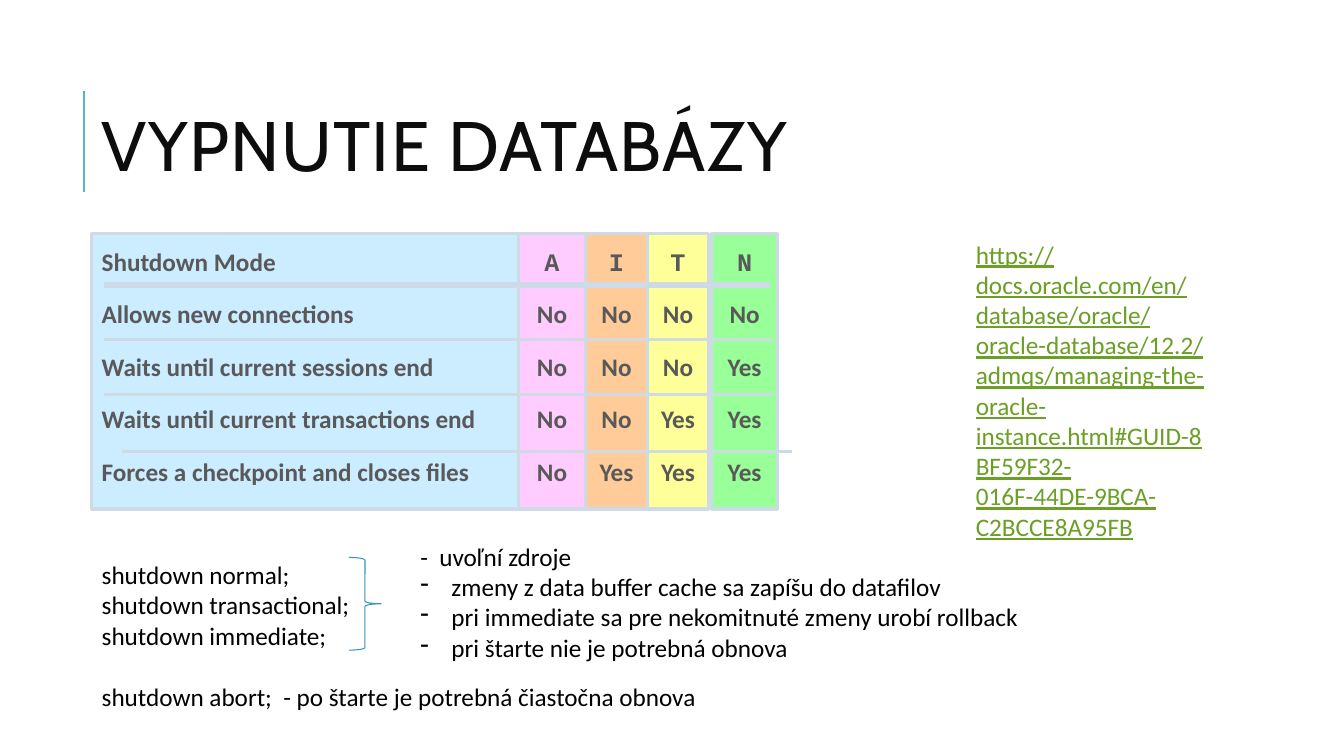
import pptx
import pptx.util
import pptx.dml.color
import pptx.enum.shapes
import pptx.enum.text
from lxml import etree

Inches, Pt = pptx.util.Inches, pptx.util.Pt
ALIGN = pptx.enum.text.PP_ALIGN
ANCHOR = pptx.enum.text.MSO_ANCHOR
AUTO_SIZE = pptx.enum.text.MSO_AUTO_SIZE
SHAPES = pptx.enum.shapes.MSO_SHAPE

BORDER = "CEDBE6"
BODY = {"name": "Calibri", "size": Pt(18), "color": "000000"}
CELL = {**BODY, "color": "595959", "bold": True}
MODE = {**CELL, "name": "Courier New"}
LINK = {**BODY, "color": "6B9F25", "underline": True}
TITLE = {"name": "Cabin", "size": Pt(50), "color": "0D0D0D"}

SHUTDOWN_COLUMNS = [
    # left offset, width, fill, alignment, heading format, lines
    (0, 4.23, "CCECFF", ALIGN.LEFT, CELL,
     ["Shutdown Mode", "Allows new connections", "Waits until current sessions end",
      "Waits until current transactions end", "Forces a checkpoint and closes files"]),
    (4.23, 0.67, "FFCCFF", ALIGN.CENTER, MODE, ["A", "No", "No", "No", "No"]),
    (4.9, 0.61, "FFCC99", ALIGN.CENTER, MODE, ["I", "No", "No", "No", "Yes"]),
    (5.51, 0.61, "FFFF99", ALIGN.CENTER, MODE, ["T", "No", "No", "Yes", "Yes"]),
    (6.15, 0.65, "99FF99", ALIGN.CENTER, MODE, ["N", "No", "Yes", "Yes", "Yes"]),
]
# left offset, right offset, top offset, width in points
ROW_RULES = [(0.12, 6.73, 0.51, 4.5), (0.12, 6.76, 1.05, 2.25),
             (0.12, 6.76, 1.59, 2.25), (0.3, 6.95, 2.16, 2.25)]

COMMANDS = ["shutdown normal;", "shutdown transactional;", "shutdown immediate;",
            "shutdown abort;  - po štarte je potrebná čiastočna obnova"]
EFFECTS = ["-  uvoľní zdroje",
           "zmeny z data buffer cache sa zapíšu do datafilov",
           "pri immediate sa pre nekomitnuté zmeny urobí rollback",
           "pri štarte nie je potrebná obnova"]
GUIDE_URL = ("https://docs.oracle.com/en/database/oracle/oracle-database/12.2/admqs/"
             "managing-the-oracle-instance.html#GUID-8BF59F32-016F-44DE-9BCA-C2BCCE8A95FB")


def rgb(code):
    return pptx.dml.color.RGBColor.from_string(code)


def set_font(font, style):
    for key, value in style.items():
        if key == "color":
            font.color.rgb = rgb(value)
        else:
            setattr(font, key, value)


def write_lines(frame, lines, style, first_style=None):
    """Fill a text frame with one paragraph per line."""
    for index, line in enumerate(lines):
        paragraph = frame.paragraphs[0] if index == 0 else frame.add_paragraph()
        run = paragraph.add_run()
        run.text = line
        set_font(run.font, first_style if index == 0 and first_style else style)
    return frame.paragraphs


def add_text(slide, box, lines, style, auto_size=AUTO_SIZE.SHAPE_TO_FIT_TEXT):
    frame = slide.shapes.add_textbox(*map(Inches, box)).text_frame
    frame.word_wrap = True
    frame.auto_size = auto_size
    write_lines(frame, lines, style)
    return frame


def add_shape(slide, kind, box, fill, line, width):
    shape = slide.shapes.add_shape(kind, *map(Inches, box))
    shape.shadow.inherit = False
    if fill:
        shape.fill.solid()
        shape.fill.fore_color.rgb = rgb(fill)
    else:
        shape.fill.background()
    shape.line.color.rgb = rgb(line)
    shape.line.width = Pt(width)
    return shape


def add_line(slide, start, end, color, width):
    line = slide.shapes.add_connector(
        pptx.enum.shapes.MSO_CONNECTOR.STRAIGHT, *map(Inches, start + end))
    line.line.color.rgb = rgb(color)
    line.line.width = Pt(width)
    properties = line._element.spPr
    etree.SubElement(properties, pptx.oxml.ns.qn("a:effectLst"))


def add_bullet(paragraph, char, indent):
    properties = paragraph._p.get_or_add_pPr()
    properties.set("marL", str(Inches(indent)))
    properties.set("indent", str(-Inches(indent)))
    bullet = etree.SubElement(properties, pptx.oxml.ns.qn("a:buChar"))
    bullet.set("char", char)


def draw_title(slide, left, top, width, height):
    add_line(slide, (left - 0.08, top + 1.22), (left - 0.08, top + 0.22), "58B6C0", 1.5)
    frame = add_text(slide, (left, top, width, height), ["VYPNUTIE DATABÁZY"],
                     TITLE, AUTO_SIZE.NONE)
    frame.vertical_anchor = ANCHOR.MIDDLE
    heading = frame.paragraphs[0]
    heading.line_spacing = 0.8
    heading.runs[0].font._element.set("spc", "100")


def draw_shutdown_modes(slide, left, top, height):
    # Coloured columns
    for offset, width, fill, alignment, heading, lines in SHUTDOWN_COLUMNS:
        column = add_shape(slide, SHAPES.RECTANGLE, (left + offset, top, width, height),
                           fill, BORDER, 2.25)
        frame = column.text_frame
        frame.word_wrap = True
        frame.vertical_anchor = ANCHOR.TOP
        for index, paragraph in enumerate(write_lines(frame, lines, CELL, heading)):
            paragraph.alignment = alignment
            paragraph.line_spacing = 1.25
            if index:
                paragraph.space_before = Pt(10.5)
    # Row rules
    for start, end, offset, width in ROW_RULES:
        add_line(slide, (left + start, top + offset), (left + end, top + offset),
                 BORDER, width)


def draw_commands(slide, left, top):
    # Commands, with abort set apart
    commands = add_text(slide, (left, top + 0.18, 6.95, 1.62), COMMANDS, BODY)
    commands.paragraphs[-1].space_before = Pt(22)
    # Brace joining the first three commands to their effects
    add_shape(slide, SHAPES.RIGHT_BRACE, (left + 2.55, top + 0.21, 0.32, 0.92),
              None, "3494BA", 0.75)
    effects = add_text(slide, (left + 3.16, top, 6.24, 1.31), EFFECTS, BODY)
    for effect in effects.paragraphs[1:]:
        add_bullet(effect, "-", 0.31)


def draw_guide_address(slide, *box):
    add_text(slide, box, [GUIDE_URL], LINK)


def main():
    deck = pptx.Presentation()
    deck.slide_width, deck.slide_height = Inches(13.33), Inches(7.5)
    slide = deck.slides.add_slide(deck.slide_layouts[6])
    draw_title(slide, 0.91, 0.68, 10.63, 1.64)
    draw_shutdown_modes(slide, 0.91, 2.32, 2.73)
    draw_commands(slide, 0.91, 5.32)
    draw_guide_address(slide, 9.58, 2.32, 2.57, 2.52)
    deck.save("out.pptx")


if __name__ == "__main__":
    main()
